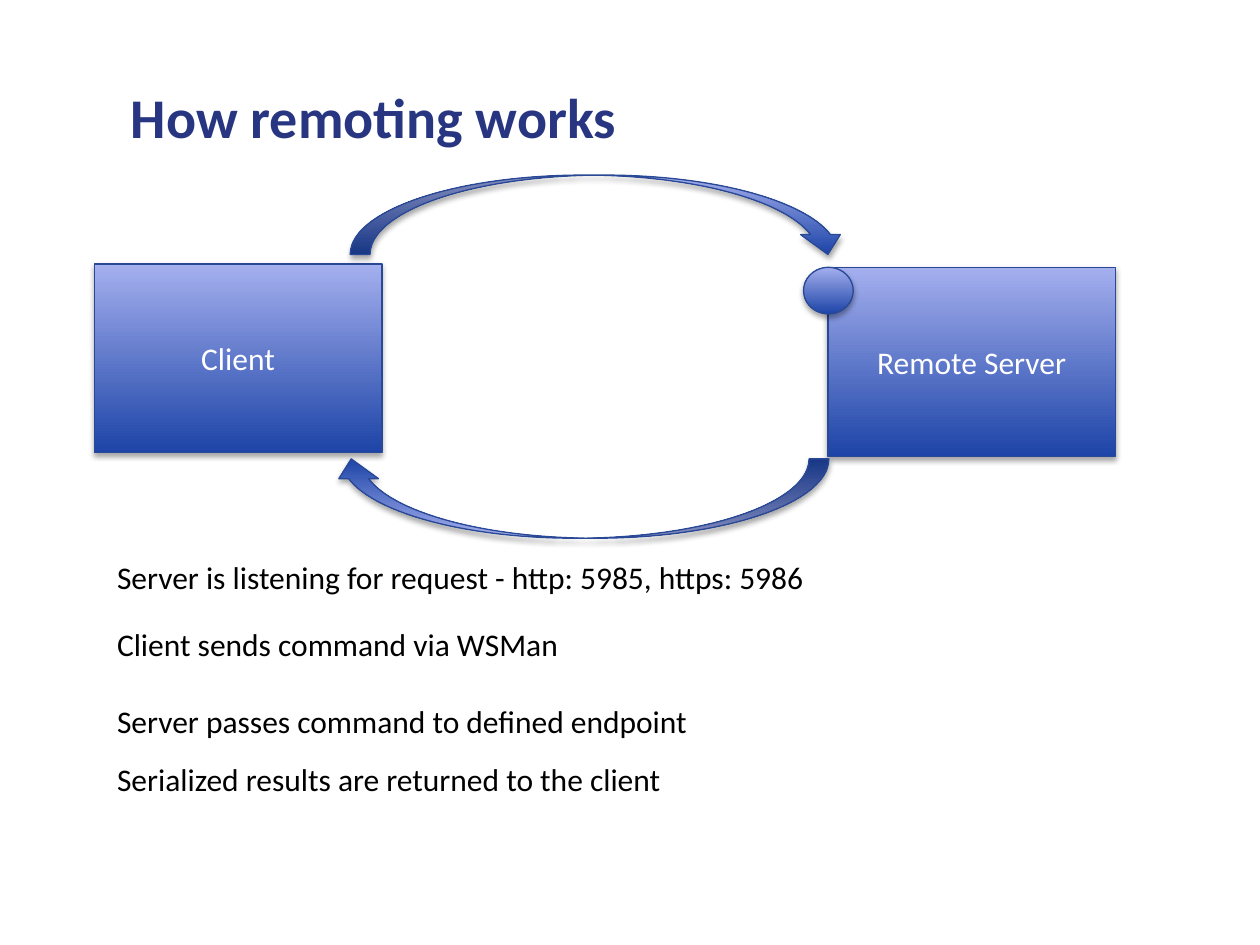
from lxml.etree import SubElement
from pptx import Presentation
from pptx.dml.color import RGBColor
from pptx.enum.shapes import MSO_SHAPE as SHAPE
from pptx.enum.text import MSO_ANCHOR as ANCHOR, PP_ALIGN as ALIGN
from pptx.oxml.ns import qn
from pptx.util import Cm, Pt

NAVY = RGBColor(0x28, 0x36, 0x81)
DEEP_BLUE = RGBColor(0x1D, 0x44, 0xA7)
PALE_BLUE = RGBColor(0xA4, 0xAF, 0xEE)
OUTLINE = RGBColor(0x29, 0x48, 0x96)
WHITE = RGBColor(0xFF, 0xFF, 0xFF)
BLACK = RGBColor(0, 0, 0)


def write(target, text, size, color, bold=False, align=ALIGN.LEFT, anchor=ANCHOR.TOP):
    """Put one formatted line of text into a shape or text box."""
    frame = target.text_frame
    frame.word_wrap = True
    frame.vertical_anchor = anchor
    frame.text = text
    line = frame.paragraphs[0]
    line.alignment = align
    font = line.runs[0].font
    font.name, font.size, font.bold = "Calibri", Pt(size), bold
    font.color.rgb = color


def add_glossy(kind, left, top, width, height):
    """Add a shape with the blue gradient, thin outline and soft shadow."""
    glossy = slide.shapes.add_shape(kind, Cm(left), Cm(top), Cm(width), Cm(height))
    glossy.fill.gradient()
    glossy.fill.gradient_angle = 90
    for stop, color in zip(glossy.fill.gradient_stops, (DEEP_BLUE, PALE_BLUE)):
        stop.color.rgb = color
    glossy.line.color.rgb = OUTLINE
    glossy.line.width = Pt(0.75)
    glossy.shadow.inherit = False
    effects = glossy._element.spPr.find(qn("a:effectLst"))
    shadow = SubElement(effects, qn("a:outerShdw"), blurRad="39400", dist="22900",
                        dir="5400000", rotWithShape="0")
    black = SubElement(shadow, qn("a:srgbClr"), val="000000")
    SubElement(black, qn("a:alpha"), val="35000")
    return glossy


deck = Presentation()
deck.slide_width, deck.slide_height = Cm(25.4), Cm(19.05)
slide = deck.slides.add_slide(deck.slide_layouts[6])

title = slide.shapes.add_textbox(Cm(2.39), Cm(0.76), Cm(21.74), Cm(3.18))
write(title, "How remoting works", 32, NAVY, bold=True, anchor=ANCHOR.MIDDLE)

for name, left, top in (("Client", 1.9, 5.32), ("Remote Server", 16.69, 5.39)):
    machine = add_glossy(SHAPE.RECTANGLE, left, top, 5.8, 3.81)
    write(machine, name, 18, WHITE, align=ALIGN.CENTER, anchor=ANCHOR.MIDDLE)

for left, top, turn in ((7.06, 3.53, 0), (6.68, 9.25, 180)):
    flow = add_glossy(SHAPE.CURVED_DOWN_ARROW, left, top, 10.03, 1.6)
    flow.rotation = turn

add_glossy(SHAPE.OVAL, 16.2, 5.39, 1, 0.94)

steps = (
    ("Server is listening for request - http: 5985, https: 5986", 11.13),
    ("Client sends command via WSMan", 12.47),
    ("Server passes command to defined endpoint", 14.02),
    ("Serialized results are returned to the client", 15.19),
)
for step, top in steps:
    caption = slide.shapes.add_textbox(Cm(2.11), Cm(top), Cm(19.2), Cm(1.02))
    write(caption, step, 18, BLACK)

deck.save("out.pptx")
